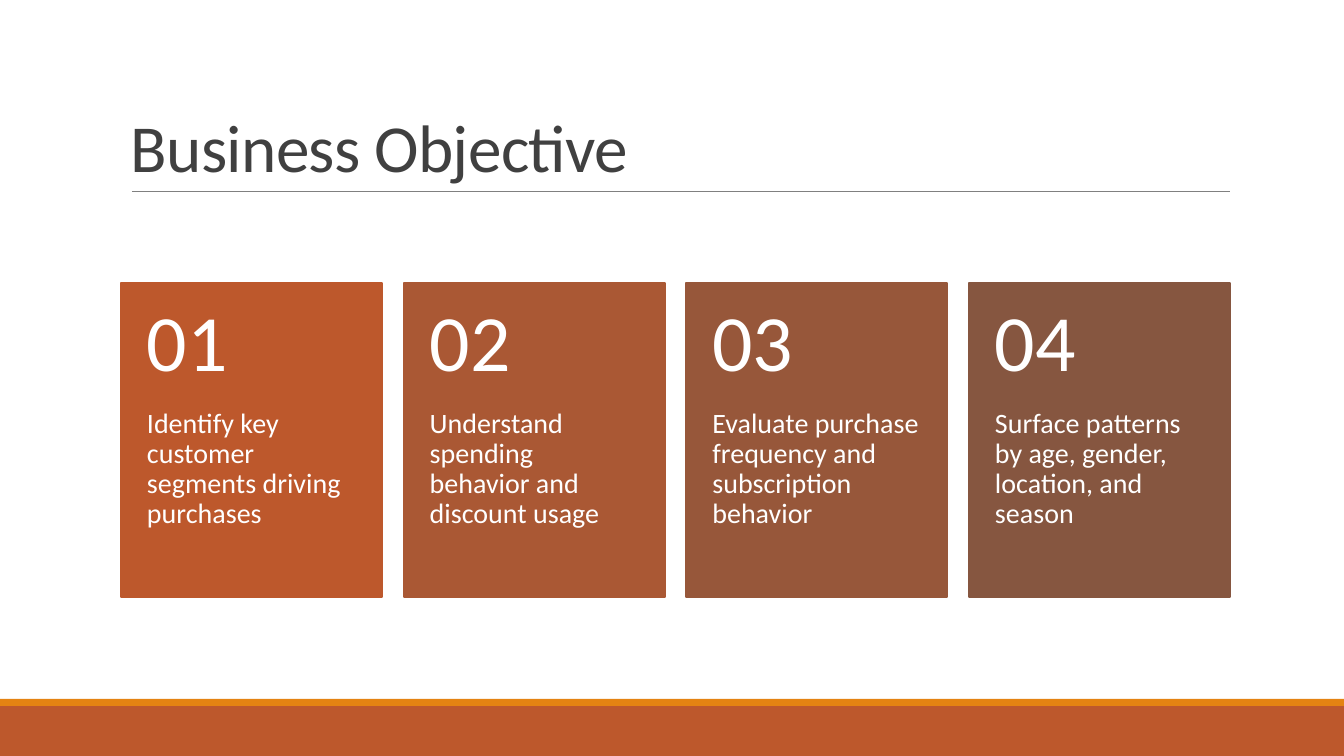
from lxml.etree import SubElement
from pptx import Presentation
from pptx.dml.color import RGBColor
from pptx.enum.shapes import MSO_CONNECTOR, MSO_SHAPE
from pptx.enum.text import MSO_ANCHOR, MSO_AUTO_SIZE, PP_ALIGN
from pptx.oxml.ns import qn
from pptx.util import Emu, Pt

RUST = RGBColor(0xBD, 0x58, 0x2C)
ORANGE = RGBColor(0xE4, 0x83, 0x12)
GREY = RGBColor(0x80, 0x80, 0x80)
DARK = RGBColor(0x40, 0x40, 0x40)
WHITE = RGBColor(0xFF, 0xFF, 0xFF)
FONT = "Calibri"

HEADING = "Business Objective"
OBJECTIVES = [
    ("01", "Identify key customer segments driving purchases", RUST),
    ("02", "Understand spending behavior and discount usage", RGBColor(0xAA, 0x58, 0x34)),
    ("03", "Evaluate purchase frequency and subscription behavior", RGBColor(0x97, 0x57, 0x3A)),
    ("04", "Surface patterns by age, gender, location, and season", RGBColor(0x86, 0x56, 0x40)),
]
FOOTER_BANDS = [(706, 50, RUST), (699, 7, ORANGE)]

SLIDE_W, SLIDE_H = 1344, 756
LEFT, CONTENT_W = 121, 1109
CARD_TOP, CARD_W, CARD_H, NUMBER_H = 283, 261, 314, 126
PITCH = (CONTENT_W - CARD_W) / (len(OBJECTIVES) - 1)


def px(length):
    return Emu(round(length * 914400 / 100.8))


def box(*lengths):
    return [px(length) for length in lengths]


def add_block(slide, bounds, color, line_width=None):
    block = slide.shapes.add_shape(MSO_SHAPE.RECTANGLE, *box(*bounds))
    block.shadow.inherit = False
    block.fill.solid()
    block.fill.fore_color.rgb = color
    if line_width:
        block.line.color.rgb = color
        block.line.width = Pt(line_width)
    else:
        block.line.fill.background()


def write(frame, text, size, color, spacing, anchor, insets):
    frame.word_wrap = True
    frame.auto_size = MSO_AUTO_SIZE.NONE
    frame.vertical_anchor = anchor
    (frame.margin_left, frame.margin_top,
     frame.margin_right, frame.margin_bottom) = box(*insets)
    paragraph = frame.paragraphs[0]
    paragraph.alignment = PP_ALIGN.LEFT
    paragraph.line_spacing = spacing
    run = paragraph.add_run()
    run.text = text
    run.font.name = FONT
    run.font.size = Pt(size)
    run.font.color.rgb = color
    return run


def add_label(slide, bounds, text, size, anchor, insets):
    label = slide.shapes.add_textbox(*box(*bounds))
    write(label.text_frame, text, size, WHITE, 0.9, anchor, insets)


def main():
    deck = Presentation()
    deck.slide_width, deck.slide_height = box(SLIDE_W, SLIDE_H)
    slide = deck.slides.add_slide(deck.slide_layouts[5])

    for top, height, color in FOOTER_BANDS:
        add_block(slide, (0, top, SLIDE_W, height), color)

    rule = slide.shapes.add_connector(MSO_CONNECTOR.STRAIGHT, *box(132, 191, 1230, 191))
    rule.line.color.rgb = GREY
    rule.line.width = Pt(0.5)
    SubElement(rule.element.spPr, qn("a:effectLst"))

    title = slide.shapes.title
    title.left, title.top, title.width, title.height = box(LEFT, 31, CONTENT_W, 160)
    heading = write(title.text_frame, HEADING, 48, DARK, 0.85,
                    MSO_ANCHOR.BOTTOM, (10, 5, 10, 5))
    heading.font.element.set("spc", "-50") if hasattr(heading.font, "element") else \
        heading._r.get_or_add_rPr().set("spc", "-50")

    for index, (number, objective, color) in enumerate(OBJECTIVES):
        left = LEFT + index * PITCH
        add_block(slide, (left, CARD_TOP, CARD_W, CARD_H), color, 1.25)
        add_label(slide, (left, CARD_TOP + NUMBER_H, CARD_W, CARD_H - NUMBER_H),
                  objective, 20, MSO_ANCHOR.TOP, (26, 0, 26, 36))
        add_label(slide, (left, CARD_TOP, CARD_W, NUMBER_H),
                  number, 57, MSO_ANCHOR.MIDDLE, (26, 18, 26, 18))

    deck.save("out.pptx")


if __name__ == "__main__":
    main()
